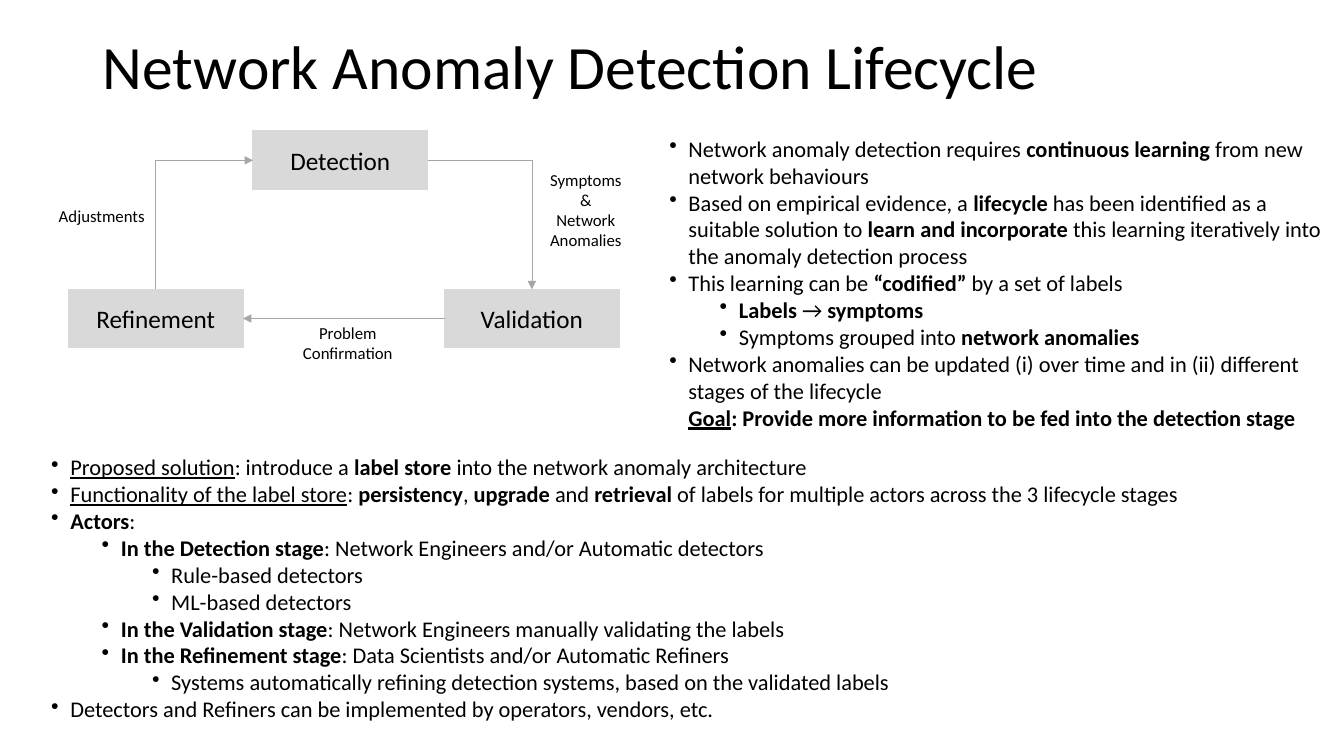
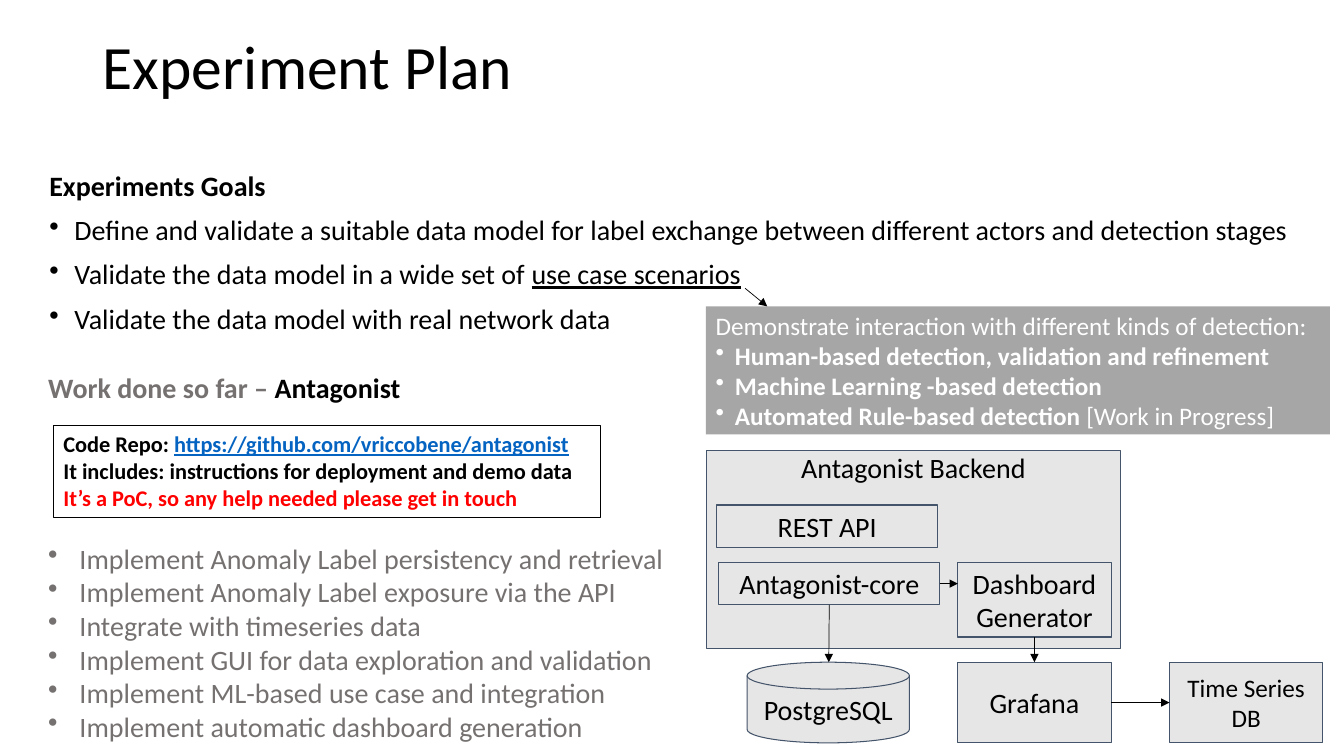
"""Build two slides on the anomaly detection lifecycle and its experiment plan."""
import dataclasses

import lxml.etree
import pptx
import pptx.dml.color
import pptx.enum.shapes
import pptx.enum.text
import pptx.oxml.ns
import pptx.util

PX = 9144
SHAPE = pptx.enum.shapes.MSO_SHAPE
CONNECTOR = pptx.enum.shapes.MSO_CONNECTOR
ALIGN = pptx.enum.text.PP_ALIGN
ANCHOR = pptx.enum.text.MSO_ANCHOR
TOP, LEFT, BOTTOM, RIGHT = range(4)


@dataclasses.dataclass(frozen=True)
class Theme:
    font: str = "Calibri"
    ink: str = "000000"
    muted: str = "767171"
    white: str = "FFFFFF"
    link: str = "0563C1"
    alert: str = "FF0000"
    stage: str = "D9D9D9"
    callout: str = "A6A6A6"
    box: str = "E7E6E6"
    edge: str = "44546A"
    title: int = 44
    large: int = 20
    medium: int = 18
    body: int = 16
    label: int = 12


T = Theme()
SLIDE = (1333, 750)
TITLE_BOX = (92, 22, 1150, 94)

STAGES = {
    "Detection": (251, 130, 173, 58),
    "Validation": (441, 287, 173, 58),
    "Refinement": (68, 287, 173, 58),
}
FLOW_LABELS = [
    (["Symptoms", "&", "Network", "Anomalies"], (535, 163, 92, 91)),
    (["Problem", "Confirmation"], (290, 315, 110, 50)),
    (["Adjustments"], (48, 199, 106, 30)),
]
LEARNING = [
    (0, "Network anomaly detection requires ", ("continuous learning", "b"),
     " from new network behaviours"),
    (0, "Based on empirical evidence, a ", ("lifecycle", "b"),
     " has been identified as a suitable solution to ",
     ("learn and incorporate", "b"),
     " this learning iteratively into the anomaly detection process"),
    (0, "This learning can be ", ("“codified”", "b"), " by a set of labels"),
    (1, ("Labels ", "b"), "→ ", ("symptoms", "b")),
    (1, "Symptoms grouped into ", ("network anomalies", "b")),
    (0, "Network anomalies can be updated (i) over time and in (ii) "
        "different stages of the lifecycle"),
    ("indent", ("Goal", "bu"),
     (": Provide more information to be fed into the detection stage", "b")),
]
LABEL_STORE = [
    (0, ("Proposed solution", "u"), ": introduce a ", ("label store", "b"),
     " into the network anomaly architecture"),
    (0, ("Functionality of the label store", "u"), ": ", ("persistency", "b"),
     ", ", ("upgrade", "b"), " and ", ("retrieval", "b"),
     " of labels for multiple actors across the 3 lifecycle stages"),
    (0, ("Actors", "b"), ":"),
    (1, ("In the Detection stage", "b"),
     ": Network Engineers and/or Automatic detectors"),
    (2, "Rule-based detectors"),
    (2, "ML-based detectors"),
    (1, ("In the Validation stage", "b"),
     ": Network Engineers manually validating the labels"),
    (1, ("In the Refinement stage", "b"),
     ": Data Scientists and/or Automatic Refiners"),
    (2, "Systems automatically refining detection systems, "
        "based on the validated labels"),
    (0, "Detectors and Refiners can be implemented by operators, vendors, etc."),
]
GOALS = [
    ("plain", ("Experiments Goals", "b")),
    (0, "Define and validate a suitable data model for label exchange "
        "between different actors and detection stages"),
    (0, "Validate the data model in a wide set of ", ("use case scenarios", "u")),
    (0, "Validate the data model with real network data"),
]
WORK_HEADING = [("plain", ("Work done so far – ", "b", T.muted), ("Antagonist", "b"))]
WORK_DONE = [(0, item) for item in (
    "Implement Anomaly Label persistency and retrieval",
    "Implement Anomaly Label exposure via the API",
    "Integrate with timeseries data",
    "Implement GUI for data exploration and validation",
    "Implement ML-based use case and integration",
    "Implement automatic dashboard generation",
)]
USE_CASES = [
    ("plain", "Demonstrate interaction with different kinds of detection:"),
    (0, ("Human-based detection, validation and refinement", "b")),
    (0, ("Machine Learning -based detection", "b")),
    (0, ("Automated Rule-based detection ", "b"), "[Work in Progress]"),
]
REPO = [
    ("plain", ("Code Repo: ", "b"),
     ("https://github.com/vriccobene/antagonist", "bu", T.link)),
    ("plain", ("It includes: instructions for deployment and demo data", "b")),
    ("plain", ("It’s a PoC, so any help needed please get in touch", "b", T.alert)),
]
COMPONENTS = {
    "REST API": (711, 501, 219, 42),
    "Antagonist-core": (713, 558, 219, 42),
    "Dashboard Generator": (950, 558, 152, 74),
    "PostgreSQL": (741, 657, 161, 80),
    "Grafana": (950, 657, 152, 80),
    "Time Series\nDB": (1160, 657, 152, 80),
}


def emu(lengths):
    return [n * PX for n in lengths]


def rgb(color):
    return pptx.dml.color.RGBColor.from_string(color)


def plain(lines):
    return [("plain", line) for line in lines]


def set_indent(p, level, hang):
    """Indent a paragraph and give numbered levels a bullet."""
    if level == "plain":
        return
    pPr = p._p.get_or_add_pPr()
    if level == "indent":
        pPr.set("marL", str(hang * PX))
        return
    pPr.set("marL", str((hang + 50 * level) * PX))
    pPr.set("indent", str(-hang * PX))
    bullet = lxml.etree.SubElement(pPr, pptx.oxml.ns.qn("a:buChar"))
    bullet.set("char", "•")


def write(sp, paragraphs, size=T.body, color=T.ink, align=ALIGN.LEFT,
          anchor=ANCHOR.TOP, margins=(10, 5), wrap=True, hang=19,
          spacing=None, before=0):
    """Fill a shape with formatted paragraphs."""
    tf = sp.text_frame
    tf.auto_size = pptx.enum.text.MSO_AUTO_SIZE.NONE
    tf.word_wrap = wrap
    tf.vertical_anchor = anchor
    tf.margin_left = tf.margin_right = margins[0] * PX
    tf.margin_top = tf.margin_bottom = margins[1] * PX
    for i, (level, *runs) in enumerate(paragraphs):
        p = tf.add_paragraph() if i else tf.paragraphs[0]
        set_indent(p, level, hang)
        p.alignment = align
        if spacing:
            p.line_spacing = spacing
        if i and before:
            p.space_before = pptx.util.Pt(before)
        for run in runs:
            words, style, tint = ((run,) if isinstance(run, str) else run) \
                + ("", color)[-(3 - (1 if isinstance(run, str) else len(run))):] \
                if isinstance(run, str) or len(run) < 3 else run
            r = p.add_run()
            r.text = words
            r.font.name = T.font
            r.font.size = pptx.util.Pt(size)
            r.font.bold = "b" in style
            r.font.underline = "u" in style
            r.font.color.rgb = rgb(tint)


def add_text(s, box, paragraphs, **fmt):
    write(s.shapes.add_textbox(*emu(box)), paragraphs, **fmt)


def add_box(s, box, paragraphs, fill=None, line=None, weight=0.75,
            kind=SHAPE.RECTANGLE, **fmt):
    """Add a flat preset shape with text."""
    sp = s.shapes.add_shape(kind, *emu(box))
    sp.shadow.inherit = False
    if fill:
        sp.fill.solid()
        sp.fill.fore_color.rgb = rgb(fill)
    else:
        sp.fill.background()
    if line:
        sp.line.color.rgb = rgb(line)
        sp.line.width = pptx.util.Pt(weight)
    else:
        sp.line.fill.background()
    write(sp, paragraphs, **fmt)
    return sp


def link(s, start, end, color=T.ink, bent=False, arrow="tailEnd"):
    """Join two ends, each a point or a shape with a connection site."""
    kind = CONNECTOR.ELBOW if bent else CONNECTOR.STRAIGHT
    points = [e if isinstance(e[0], int) else (0, 0) for e in (start, end)]
    c = s.shapes.add_connector(kind, *emu(points[0] + points[1]))
    for connect, e in ((c.begin_connect, start), (c.end_connect, end)):
        if not isinstance(e[0], int):
            connect(*e)
    c.line.color.rgb = rgb(color)
    c.line.width = pptx.util.Pt(0.5)
    spPr = c._element.spPr
    if bent:
        spPr.find(pptx.oxml.ns.qn("a:prstGeom")).set("prst", "bentConnector2")
    ln = spPr.find(pptx.oxml.ns.qn("a:ln"))
    lxml.etree.SubElement(ln, pptx.oxml.ns.qn("a:" + arrow)).set("type", "triangle")
    lxml.etree.SubElement(spPr, pptx.oxml.ns.qn("a:effectLst"))


def add_slide(prs, title):
    s = prs.slides.add_slide(prs.slide_layouts[5])
    sp = s.shapes.title
    sp.left, sp.top, sp.width, sp.height = emu(TITLE_BOX)
    write(sp, plain([title]), size=T.title, anchor=ANCHOR.MIDDLE, spacing=0.9)
    return s


def build_lifecycle(prs):
    s = add_slide(prs, "Network Anomaly Detection Lifecycle")
    detection, validation, refinement = [
        add_box(s, box, plain([name]), fill=T.stage, line=T.stage, weight=1,
                size=T.medium, align=ALIGN.CENTER, anchor=ANCHOR.MIDDLE)
        for name, box in STAGES.items()]
    link(s, (detection, RIGHT), (validation, TOP), T.callout, bent=True)
    link(s, (validation, LEFT), (refinement, RIGHT), T.callout)
    link(s, (detection, LEFT), (refinement, TOP), T.callout, bent=True,
         arrow="headEnd")
    for lines, box in FLOW_LABELS:
        add_text(s, box, plain(lines), size=T.label, align=ALIGN.CENTER, wrap=False)
    add_text(s, (654, 129, 667, 306), LEARNING)
    add_text(s, (41, 445, 1252, 279), LABEL_STORE)


def build_plan(prs):
    s = add_slide(prs, "Experiment Plan")
    add_text(s, (39, 166, 1255, 189), GOALS, size=T.large, hang=25,
             spacing=0.9, before=10)
    add_text(s, (38, 363, 600, 44), WORK_HEADING, size=T.large)
    add_text(s, (38, 532, 712, 211), WORK_DONE, size=T.large, color=T.muted, hang=31)
    add_box(s, (700, 304, 619, 127), USE_CASES, fill=T.callout, size=T.medium,
            color=T.white, anchor=ANCHOR.MIDDLE)
    link(s, (739, 286), (761, 304))
    add_box(s, (53, 422, 543, 91), REPO, line=T.ink)
    look = dict(fill=T.box, line=T.edge, align=ALIGN.CENTER)
    add_box(s, (701, 447, 410, 196), plain(["Antagonist Backend"]),
            size=T.large, margins=(13, 0), **look)
    parts = {}
    for name, box in COMPONENTS.items():
        lines = name.split("\n")
        parts[name] = add_box(
            s, box, plain(lines), size=T.medium if len(lines) > 1 else T.large,
            kind=SHAPE.FLOWCHART_MAGNETIC_DISK if name == "PostgreSQL"
            else SHAPE.RECTANGLE,
            anchor=ANCHOR.MIDDLE, margins=(13, 13), **look)
    _, core, dashboard, _, grafana, series = parts.values()
    link(s, (core, BOTTOM), (822, 657))
    link(s, (core, RIGHT), (950, 579))
    link(s, (dashboard, BOTTOM), (grafana, TOP))
    link(s, (grafana, RIGHT), (series, LEFT))


def main():
    prs = pptx.Presentation()
    prs.slide_width, prs.slide_height = emu(SLIDE)
    build_lifecycle(prs)
    build_plan(prs)
    prs.save("out.pptx")


if __name__ == "__main__":
    main()
